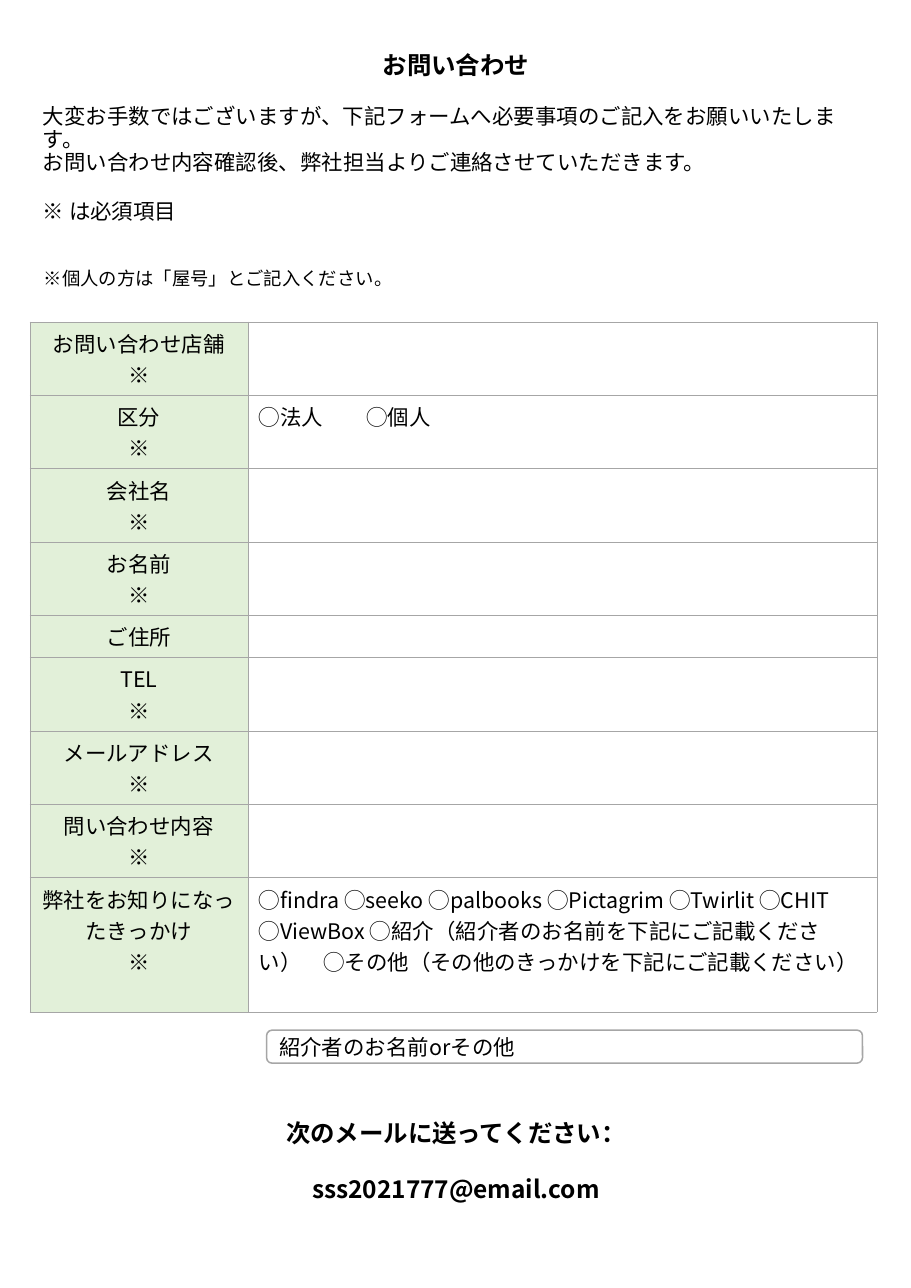
"""Build a one-page inquiry form with a table of fields."""
from lxml.etree import SubElement
from pptx import Presentation
from pptx.dml.color import RGBColor
from pptx.enum.shapes import MSO_SHAPE
from pptx.enum.text import MSO_ANCHOR, PP_ALIGN
from pptx.oxml.ns import qn
from pptx.util import Inches, Pt

FONT = "Noto Sans CJK JP"
COLORS = {"text": "000000", "label": "E2F0D9", "line": "A6A6A6"}
LEFT, CENTER = PP_ALIGN.LEFT, PP_ALIGN.CENTER
TIGHT = 0.9
TWO_LINES = 2 / 3

INTRO = [
    ("お問い合わせ", 16, True, CENTER, 0),
    ("大変お手数ではございますが、下記フォームへ必要事項のご記入をお願いいたします。", 14, False, LEFT, 16.6),
    ("お問い合わせ内容確認後、弊社担当よりご連絡させていただきます。", 14, False, LEFT, 0),
    ("※ は必須項目", 14, False, LEFT, 16.6),
]
NOTE = [("※個人の方は「屋号」とご記入ください。", 12, False, LEFT, 0)]
OTHER = [("紹介者のお名前orその他", 14, False, LEFT, 0)]
SEND_TO = [
    ("次のメールに送ってください：", 16, True, CENTER, 0),
    ("sss2021777@email.com", 16, True, CENTER, 19),
]
SOURCES = ["findra", "seeko", "palbooks", "Pictagrim", "Twirlit", "CHIT", "ViewBox"]
SOURCE_CHOICES = (
    "".join(f"◯{name} " for name in SOURCES)
    + "◯紹介（紹介者のお名前を下記にご記載ください）"
    + "　◯その他（その他のきっかけを下記にご記載ください） "
)
FIELDS = [
    ("お問い合わせ店舗", True, "", TWO_LINES),
    ("区分", True, "◯法人　　◯個人", TWO_LINES),
    ("会社名", True, "", TWO_LINES),
    ("お名前", True, "", TWO_LINES),
    ("ご住所", False, "", 0.38),
    ("TEL", True, "", TWO_LINES),
    ("メールアドレス", True, "", TWO_LINES),
    ("問い合わせ内容", True, "", TWO_LINES),
    ("弊社をお知りになったきっかけ", True, SOURCE_CHOICES, 1.22),
]
COLUMNS = [1.98, 5.71]


def rgb(name):
    return RGBColor.from_string(COLORS[name])


def write(tf, lines, spacing=None):
    tf.word_wrap = True
    tf.text = "\n".join(line[0] for line in lines)
    for p, (text, size, bold, align, before) in zip(tf.paragraphs, lines):
        p.alignment = align
        p.space_before = Pt(before)
        p.line_spacing = spacing
        p._p.get_or_add_pPr().set("hangingPunct", "0")
        for r in p.runs:
            r.font.name, r.font.size, r.font.bold = FONT, Pt(size), bold
            r.font.color.rgb = rgb("text")
            SubElement(r.font._element, qn("a:ea"), typeface=FONT)
        if not text:
            SubElement(p._p, qn("a:endParaRPr"), sz=str(size * 100))


def add_text(s, box, lines, top_inset=0.05):
    tf = s.shapes.add_textbox(*map(Inches, box)).text_frame
    tf.margin_top = Inches(top_inset)
    write(tf, lines, TIGHT)


def add_borders(cell):
    tcPr = cell._tc.get_or_add_tcPr()
    for i, side in enumerate(("lnL", "lnR", "lnT", "lnB")):
        ln = tcPr.makeelement(qn(f"a:{side}"), {"w": str(Pt(0.23))})
        fill = SubElement(ln, qn("a:solidFill"))
        SubElement(fill, qn("a:srgbClr"), val=COLORS["line"])
        tcPr.insert(i, ln)


def add_form(s, left, top):
    height = sum(field[3] for field in FIELDS)
    frame = s.shapes.add_table(len(FIELDS), len(COLUMNS), Inches(left), Inches(top),
                               Inches(sum(COLUMNS)), Inches(height))
    table = frame.table
    table.first_row = table.horz_banding = False
    for column, width in zip(table.columns, COLUMNS):
        column.width = Inches(width)
    for i, (label, required, answer, row_height) in enumerate(FIELDS):
        table.rows[i].height = Inches(row_height)
        labels = [label, "※"] if required else [label]
        label_cell, answer_cell = table.cell(i, 0), table.cell(i, 1)
        write(label_cell.text_frame, [(text, 14, False, CENTER, 0) for text in labels])
        write(answer_cell.text_frame, [(answer, 14, False, LEFT, 0)])
        label_cell.fill.solid()
        label_cell.fill.fore_color.rgb = rgb("label")
        answer_cell.fill.background()
        add_borders(label_cell)
        add_borders(answer_cell)


def add_other_box(s):
    sp = s.shapes.add_shape(MSO_SHAPE.ROUNDED_RECTANGLE, Inches(2.42), Inches(9.35),
                            Inches(5.41), Inches(0.3))
    sp.shadow.inherit = False
    sp.fill.background()
    sp.line.color.rgb = rgb("line")
    sp.line.width = Pt(1)
    sp.text_frame.vertical_anchor = MSO_ANCHOR.MIDDLE
    write(sp.text_frame, OTHER)


prs = Presentation()
prs.slide_width, prs.slide_height = Inches(8.27), Inches(11.69)
s = prs.slides.add_slide(prs.slide_layouts[6])
add_text(s, (0.29, 0.44, 7.7, 1.76), INTRO)
add_form(s, 0.27, 2.92)
add_other_box(s)
add_text(s, (0.29, 9.83, 7.7, 1.6), SEND_TO, 0.35)
add_text(s, (0.3, 2.4, 4.39, 0.3), NOTE)
prs.save("out.pptx")
